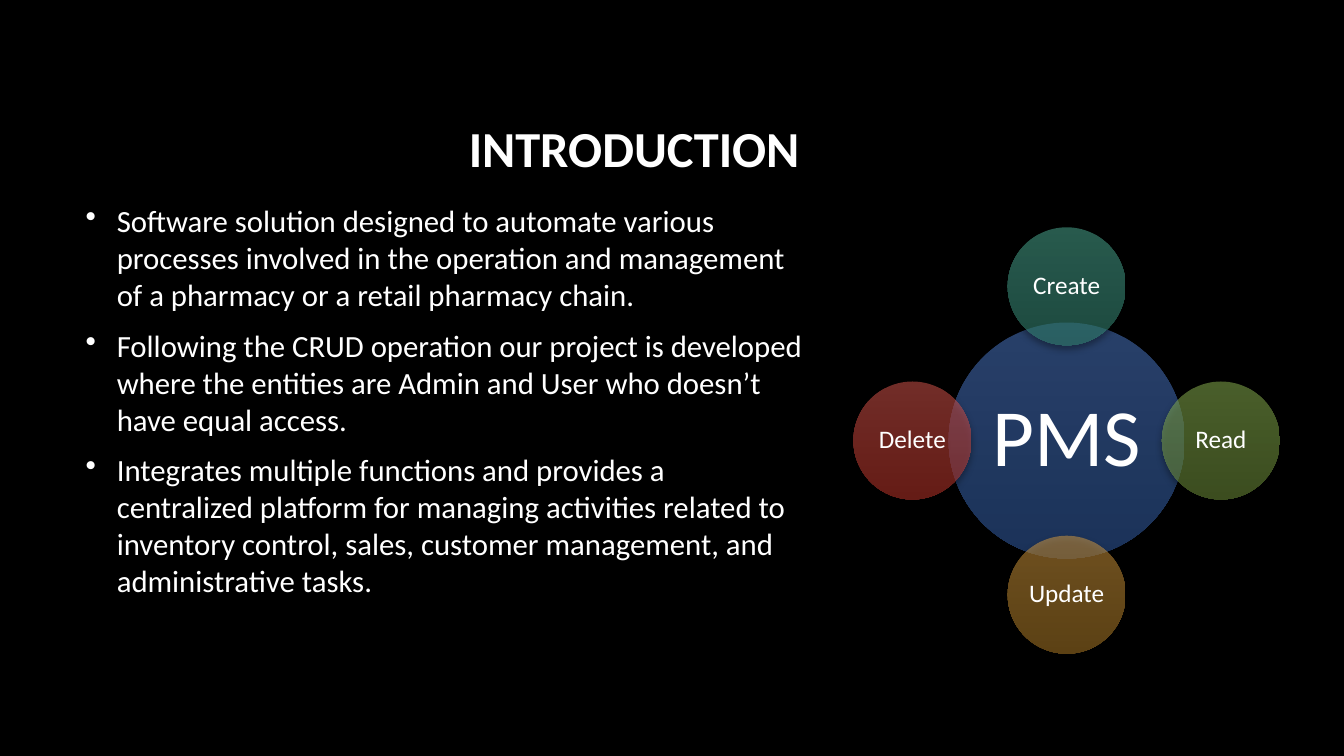
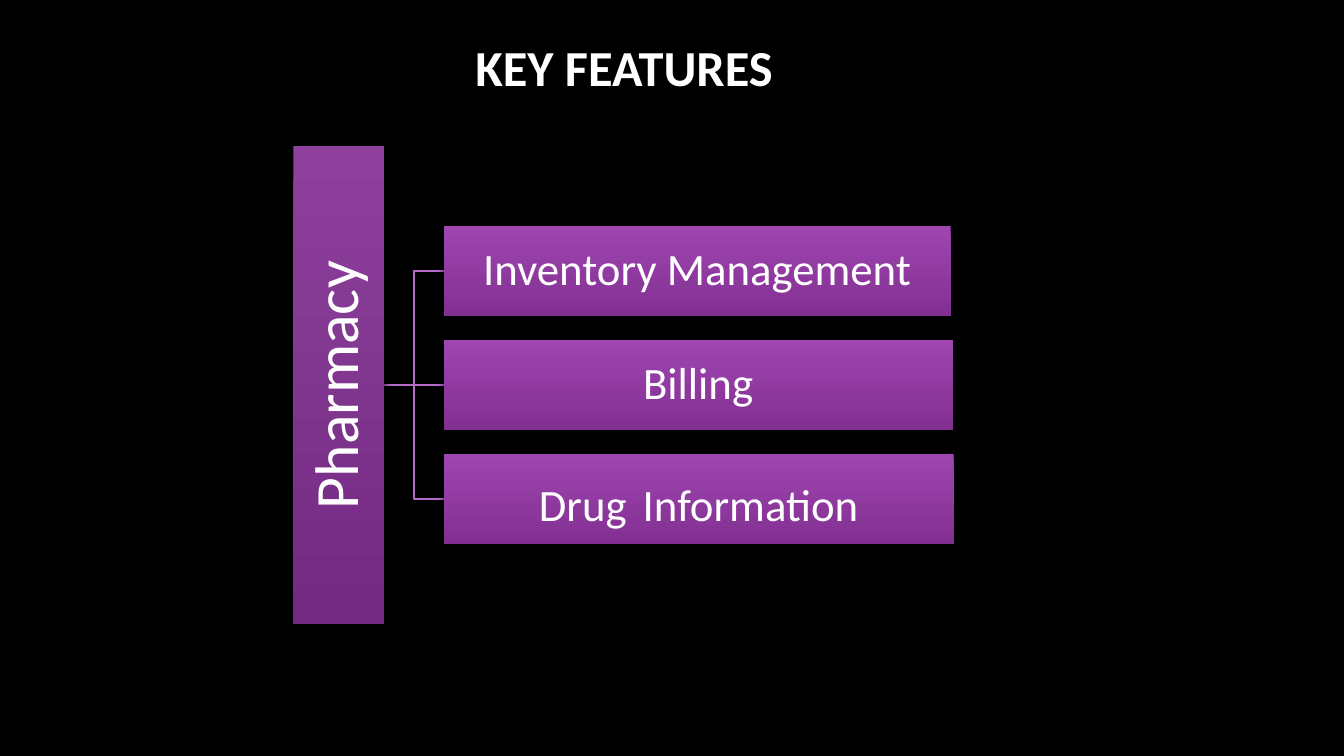
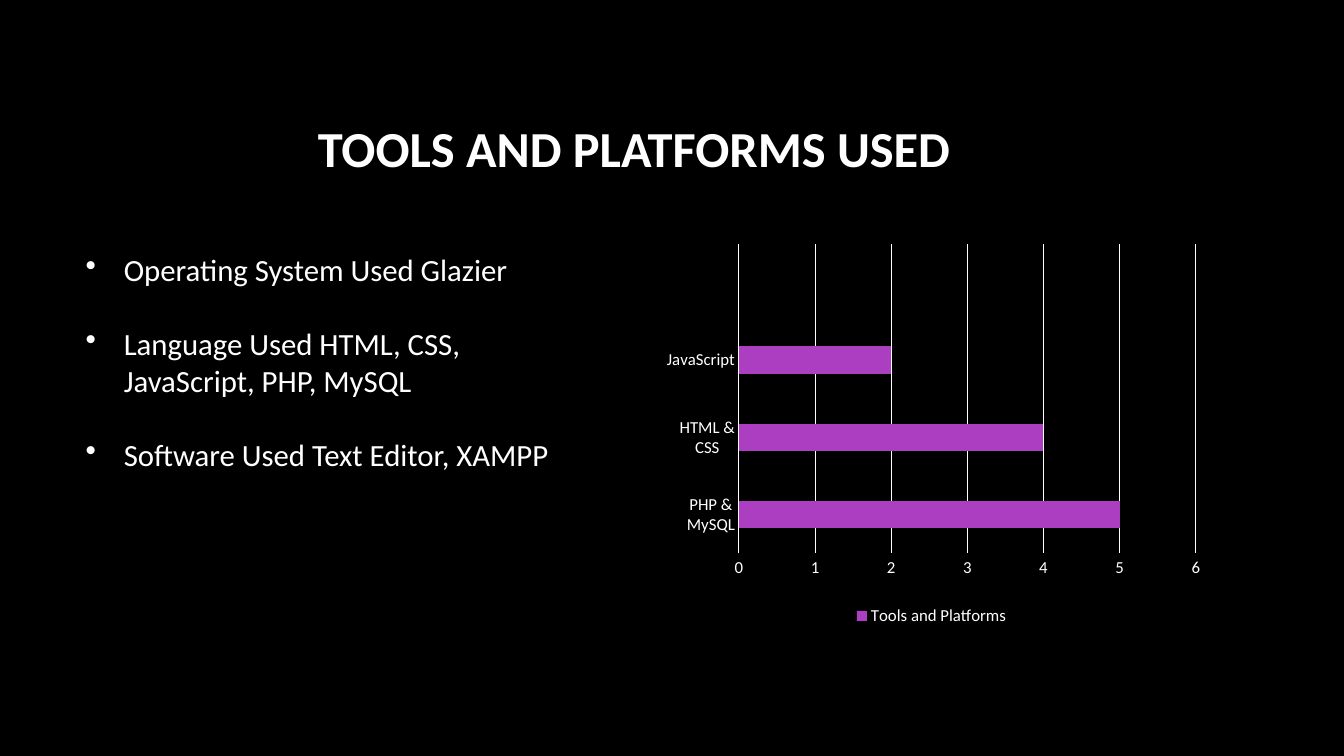
"""Build three slides that present a pharmacy management system."""
import math

from lxml import etree
from pptx import Presentation
from pptx.chart.data import CategoryChartData
from pptx.dml.color import RGBColor
from pptx.enum import chart as charts, shapes, text
from pptx.oxml import ns, parse_xml
from pptx.util import Inches, Pt

FONT = "Calibri"
COLORS = {
    "black": "000000", "white": "FFFFFF", "bar": "AC3EC1", "link": "B76BC8",
    "hub": ("5180D2", "3665B3"), "create": ("50B49B", "3A947F"),
    "read": ("93BC55", "789B3F"), "update": ("DEA040", "B88329"),
    "delete": ("E35A51", "CB382C"), "root": ("8D419D", "732981"),
    "feature": ("9F46B1", "822F92"),
}
WHITE = RGBColor.from_string(COLORS["white"])
CENTER = {"alignment": text.PP_ALIGN.CENTER}
LABEL = {**CENTER, "line_spacing": 0.9}
SHADOW = (
    f'<a:effectLst {ns.nsdecls("a")}><a:outerShdw blurRad="63500" dist="38100" dir="5400000" '
    'rotWithShape="0"><a:srgbClr val="000000"><a:alpha val="65000"/></a:srgbClr>'
    "</a:outerShdw></a:effectLst>"
)


def write(box, lines, formats, bold=False, indent=0, inset=None, anchor=text.MSO_ANCHOR.MIDDLE):
    """Fill a box with paragraphs, each a list of (words, size) runs."""
    frame = box.text_frame
    frame.word_wrap = True
    frame.vertical_anchor = anchor
    if inset is not None:
        for side in ("left", "right", "top", "bottom"):
            setattr(frame, f"margin_{side}", Inches(inset))
    for number, runs in enumerate(lines):
        para = frame.add_paragraph() if number else frame.paragraphs[0]
        if indent:
            properties = para._p.get_or_add_pPr()
            properties.set("marL", str(Inches(indent)))
            properties.set("indent", str(-Inches(indent)))
            etree.SubElement(properties, ns.qn("a:buChar")).set("char", "•")
        for name, value in formats.items():
            if number or name != "space_before":
                setattr(para, name, value)
        for words, size in runs:
            span = para.add_run()
            span.text = words
            for name, value in {"name": FONT, "size": Pt(size), "bold": bold}.items():
                setattr(span.font, name, value)
            span.font.color.rgb = WHITE


def add_panel(page, kind, place, colors, runs, inset, opacity=100):
    """Add a shaded shape with a centred label."""
    panel = page.shapes.add_shape(kind, *map(Inches, place))
    panel.line.fill.background()
    panel.fill.gradient()
    panel.fill.gradient_angle = 270
    for stop, position, color in zip(panel.fill.gradient_stops, (0, 1), colors):
        stop.position = position
        stop.color.rgb = RGBColor.from_string(color)
    if opacity < 100:
        for color in panel._element.spPr.iter(ns.qn("a:srgbClr")):
            etree.SubElement(color, ns.qn("a:alpha")).set("val", str(opacity * 1000))
    panel._element.spPr.append(parse_xml(SHADOW))
    write(panel, [runs], LABEL, inset=inset)
    return panel


deck = Presentation()
deck.slide_width, deck.slide_height = Inches(13.33), Inches(7.5)
backdrop = deck.slide_master.background.fill
backdrop.solid()
backdrop.fore_color.rgb = RGBColor.from_string(COLORS["black"])

pages = []
for title, left, top in (
    ("INTRODUCTION", 0.75, 0.67),
    ("KEY FEATURES", 0.65, -0.14),
    ("TOOLS AND PLATFORMS USED", 0.75, 0.67),
):
    page = deck.slides.add_slide(deck.slide_layouts[6])
    box = page.shapes.add_textbox(Inches(left), Inches(top), Inches(11.08), Inches(1.59))
    write(box, [[(title, 36)]], CENTER, bold=True)
    pages.append(page)
intro, features, tools = pages

OVAL = shapes.MSO_SHAPE.OVAL
hub_x, hub_y, hub_size, orbit, moon_size = 10.58, 4.37, 2.34, 1.53, 1.17
add_panel(intro, OVAL, (hub_x - hub_size / 2, hub_y - hub_size / 2, hub_size, hub_size),
          COLORS["hub"], [("PMS", 58)], 0.08, 50)
for number, label in enumerate(("Create", "Read", "Update", "Delete")):
    angle = math.radians(90 * number)
    left = hub_x + orbit * math.sin(angle) - moon_size / 2
    top = hub_y - orbit * math.cos(angle) - moon_size / 2
    add_panel(intro, OVAL, (left, top, moon_size, moon_size),
              COLORS[label.lower()], [(label, 18)], 0, 50)

summary = (
    "Software solution designed to automate various processes involved in the operation "
    "and management of a pharmacy or a retail pharmacy chain.",
    "Following the CRUD operation our project is developed where the entities are Admin "
    "and User who doesn’t have equal access.",
    "Integrates multiple functions and provides a centralized platform for managing "
    "activities related to inventory control, sales, customer management, and "
    "administrative tasks.",
)
box = intro.shapes.add_textbox(Inches(0.75), Inches(1.95), Inches(7.32), Inches(4.1))
write(box, [[(line, 22)] for line in summary], {"space_after": Pt(10)},
      indent=0.31, anchor=text.MSO_ANCHOR.TOP)

RECTANGLE = shapes.MSO_SHAPE.RECTANGLE
bar_height, root_right, feature_left, middle = 0.9, 3.81, 4.4, 3.82
feature_rows = (
    (5.03, [("Inventory Management", 32)]),
    (5.05, [("Billing", 32)]),
    (5.06, [("Drug", 32), (" ", 50), ("Information", 32)]),
)
for number, (width, runs) in enumerate(feature_rows):
    center = middle + (number - 1) * 1.13
    kind = shapes.MSO_CONNECTOR.STRAIGHT if center == middle else shapes.MSO_CONNECTOR.ELBOW
    link = features.shapes.add_connector(
        kind, *map(Inches, (root_right, middle, feature_left, center)))
    link.line.color.rgb = RGBColor.from_string(COLORS["link"])
    link.line.width = Pt(1.5)
    etree.SubElement(link._element.spPr, ns.qn("a:effectLst"))
    add_panel(features, RECTANGLE, (feature_left, center - bar_height / 2, width, bar_height),
              COLORS["feature"], runs, 0.02)
root = add_panel(features, RECTANGLE, (root_right - bar_height, middle - 2.37, bar_height, 4.74),
                 COLORS["root"], [("Pharmacy", 44)], 0.03)
root.text_frame._txBody.bodyPr.set("vert", "vert270")

data = CategoryChartData()
data.categories = ["PHP & MySQL", "HTML & CSS", "JavaScript", ""]
data.add_series("Tools and Platforms", [5, 4, 2, None])
chart = tools.shapes.add_chart(charts.XL_CHART_TYPE.BAR_CLUSTERED,
                               *map(Inches, (6.51, 2.26, 5.46, 3.99)), data).chart
chart.has_title = False
chart.has_legend = True
chart.legend.position = charts.XL_LEGEND_POSITION.BOTTOM
chart.legend.include_in_layout = False
for font in (chart.font, chart.legend.font,
             chart.category_axis.tick_labels.font, chart.value_axis.tick_labels.font):
    for name, value in {"name": FONT, "size": Pt(12)}.items():
        setattr(font, name, value)
    font.color.rgb = WHITE
for axis in (chart.category_axis, chart.value_axis):
    axis.major_tick_mark = axis.minor_tick_mark = charts.XL_TICK_MARK.NONE
scale = {"minimum_scale": 0, "maximum_scale": 6, "major_unit": 1, "has_major_gridlines": True}
for name, value in scale.items():
    setattr(chart.value_axis, name, value)
chart.value_axis.format.line.fill.background()
for line in (chart.category_axis.format.line, chart.value_axis.major_gridlines.format.line):
    line.color.rgb = WHITE
    line.width = Pt(0.75)
plot = chart.plots[0]
plot.gap_width = 182
plot.vary_by_categories = False
fill = plot.series[0].format.fill
fill.solid()
fill.fore_color.rgb = RGBColor.from_string(COLORS["bar"])

area = chart._chartSpace.chart.plotArea
for layout in area.findall(ns.qn("c:layout")):
    area.remove(layout)
layout = etree.Element(ns.qn("c:layout"))
manual = etree.SubElement(layout, ns.qn("c:manualLayout"))
for name, value in {"layoutTarget": "inner", "xMode": "edge", "yMode": "edge",
                    "x": 0.15, "y": 0.04, "w": 0.83, "h": 0.77}.items():
    etree.SubElement(manual, ns.qn(f"c:{name}")).set("val", str(value))
area.insert(0, layout)

stack = (
    "Operating System Used Glazier",
    "Language Used HTML, CSS, JavaScript, PHP, MySQL",
    "Software Used Text Editor, XAMPP",
)
box = tools.shapes.add_textbox(Inches(0.75), Inches(2.44), Inches(5.16), Inches(2.32))
write(box, [[(line, 22)] for line in stack], {"space_before": Pt(26.5)},
      indent=0.38, anchor=text.MSO_ANCHOR.TOP)

deck.save("out.pptx")
